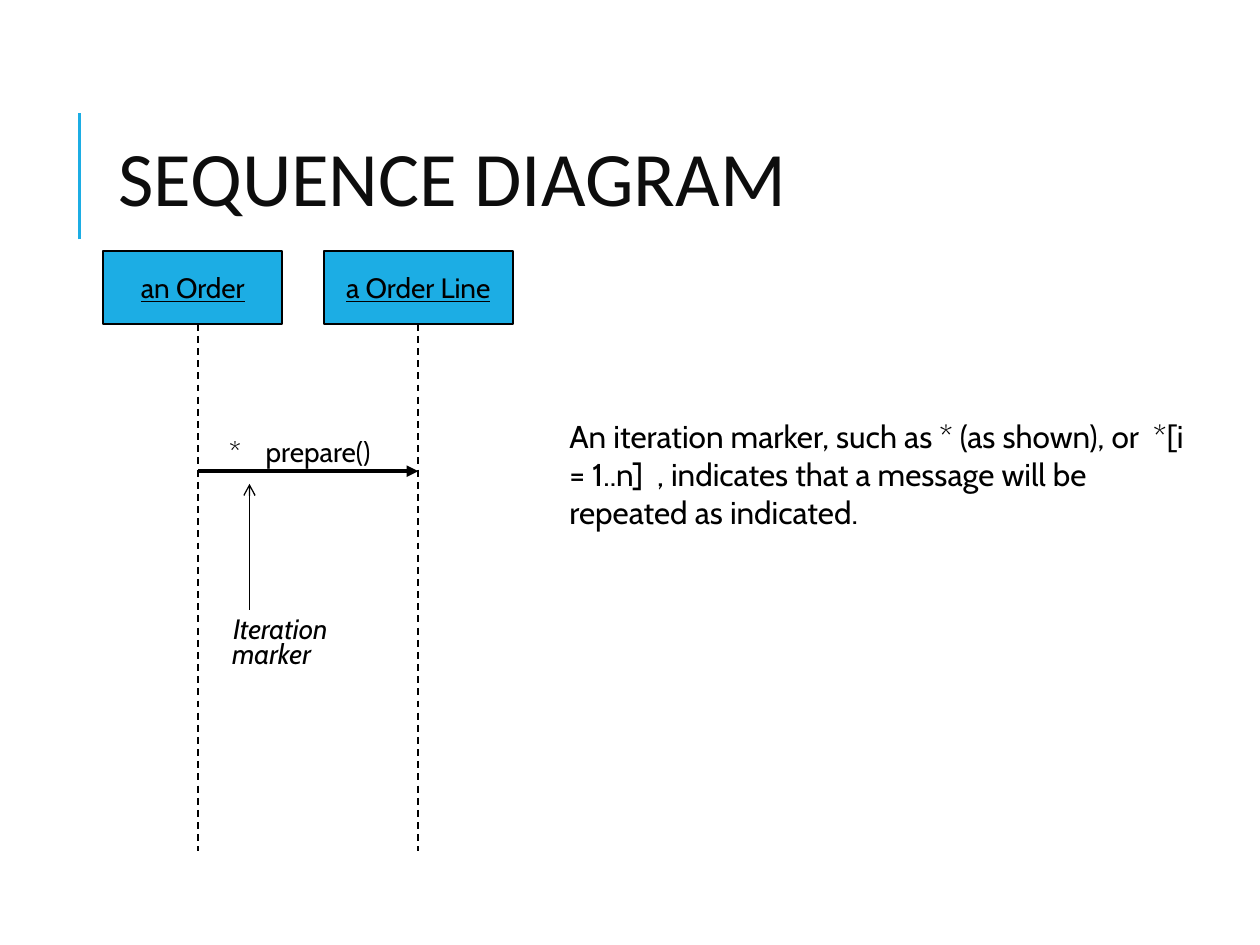
from lxml import etree
from pptx import Presentation
from pptx.dml.color import RGBColor
from pptx.enum.dml import MSO_LINE
from pptx.enum.shapes import MSO_CONNECTOR, MSO_SHAPE
from pptx.enum.text import MSO_ANCHOR, PP_ALIGN
from pptx.oxml.ns import qn
from pptx.util import Inches, Pt

LEFT, CENTER = PP_ALIGN.LEFT, PP_ALIGN.CENTER
TOP, MIDDLE = MSO_ANCHOR.TOP, MSO_ANCHOR.MIDDLE
RECT, STRAIGHT, DASH = MSO_SHAPE.RECTANGLE, MSO_CONNECTOR.STRAIGHT, MSO_LINE.DASH
BLUE, BLACK, INK = "1CADE4", "000000", "0D0D0D"


def color(value):
    """Return the colour for a hex string."""
    return RGBColor.from_string(value)


def add_line(s, start, end, width, ink=BLACK, dash=None, arrow=None):
    """Draw a straight line, optionally dashed or with an arrowhead at its end."""
    line = s.shapes.add_connector(STRAIGHT, *map(Inches, start + end))
    line.line.color.rgb = color(ink)
    line.line.width = Pt(width)
    if dash:
        line.line.dash_style = dash
    if arrow:
        etree.SubElement(line.line._get_or_add_ln(), qn("a:tailEnd"), type=arrow)
    etree.SubElement(line._element.spPr, qn("a:effectLst"))


def write(sp, text, size, font="Cabin", ink=BLACK, align=LEFT, anchor=MIDDLE, tab=None):
    """Put one formatted paragraph in a shape and return it."""
    tf = sp.text_frame
    tf.word_wrap = True
    tf.vertical_anchor = anchor
    p = tf.paragraphs[0]
    p.text = text
    p.alignment = align
    if tab:
        tabs = etree.SubElement(p._p.get_or_add_pPr(), qn("a:tabLst"))
        etree.SubElement(tabs, qn("a:tab"), pos=str(Inches(tab)), algn="l")
    p.font.size = Pt(size)
    p.font.name = font
    p.font.color.rgb = color(ink)
    return p


def add_label(s, box, text, size=16, **style):
    """Add a text box and return its paragraph."""
    return write(s.shapes.add_textbox(*map(Inches, box)), text, size, **style)


def add_title(s, box, text):
    """Place the title beside its accent rule."""
    left, top, width, height = box
    add_line(s, (left - 0.21, top + 1.26), (left - 0.21, top + 0.26), 1.5, BLUE)
    sp = s.shapes.title
    sp.left, sp.top, sp.width, sp.height = map(Inches, (left, top, width, height))
    write(sp, text, 44, "Calibri", INK).line_spacing = 0.8


def add_participant(s, box, text, line_x, bottom):
    """Draw a named object and its lifeline."""
    left, top, width, height = box
    sp = s.shapes.add_shape(RECT, *map(Inches, box))
    sp.shadow.inherit = False
    sp.fill.solid()
    sp.fill.fore_color.rgb = color(BLUE)
    sp.line.color.rgb = color(BLACK)
    sp.line.width = Pt(1)
    write(sp, text, 16, align=CENTER).font.underline = True
    add_line(s, (line_x, top + height), (line_x, bottom), 1, dash=DASH)


def add_diagram(s, box):
    """Draw the two participants, the repeated message and its callout."""
    left, top, width, height = box
    first, second = left + 0.75, left + 2.5
    bottom, message = top + height, top + 1.75
    add_participant(s, (left, top, 1.42, 0.58), "an Order", first, bottom)
    add_participant(s, (left + width - 1.5, top, 1.5, 0.58), "a Order Line", second, bottom)
    add_line(s, (first, message), (second, message), 2.25, arrow="triangle")
    add_label(s, (first + 0.15, message - 0.34, 1.51, 0.37), "*\tprepare()",
              anchor=TOP, tab=0.29)
    marker = first + 0.41
    add_line(s, (marker, message + 1.1), (marker, message + 0.1), 0.75, arrow="arrow")
    for text, drop, label_width in (("Iteration", 1.06, 1.05), ("marker", 1.26, 0.91)):
        p = add_label(s, (first + 0.13, message + drop, label_width, 0.37), text, align=CENTER)
        p.font.italic = True


def main():
    """Build and save the slide."""
    prs = Presentation()
    prs.slide_width, prs.slide_height = Inches(10), Inches(7.5)
    s = prs.slides.add_slide(prs.slide_layouts[5])
    add_title(s, (0.84, 0.64, 7.97, 1.64), "SEQUENCE DIAGRAM")
    add_diagram(s, (0.82, 1.99, 3.25, 4.76))
    add_label(s, (4.42, 3.26, 5.08, 1),
              "An iteration marker, such as * (as shown), or  *[i = 1..n]  , "
              "indicates that a message will be repeated as indicated.", 18)
    prs.save("out.pptx")


if __name__ == "__main__":
    main()
